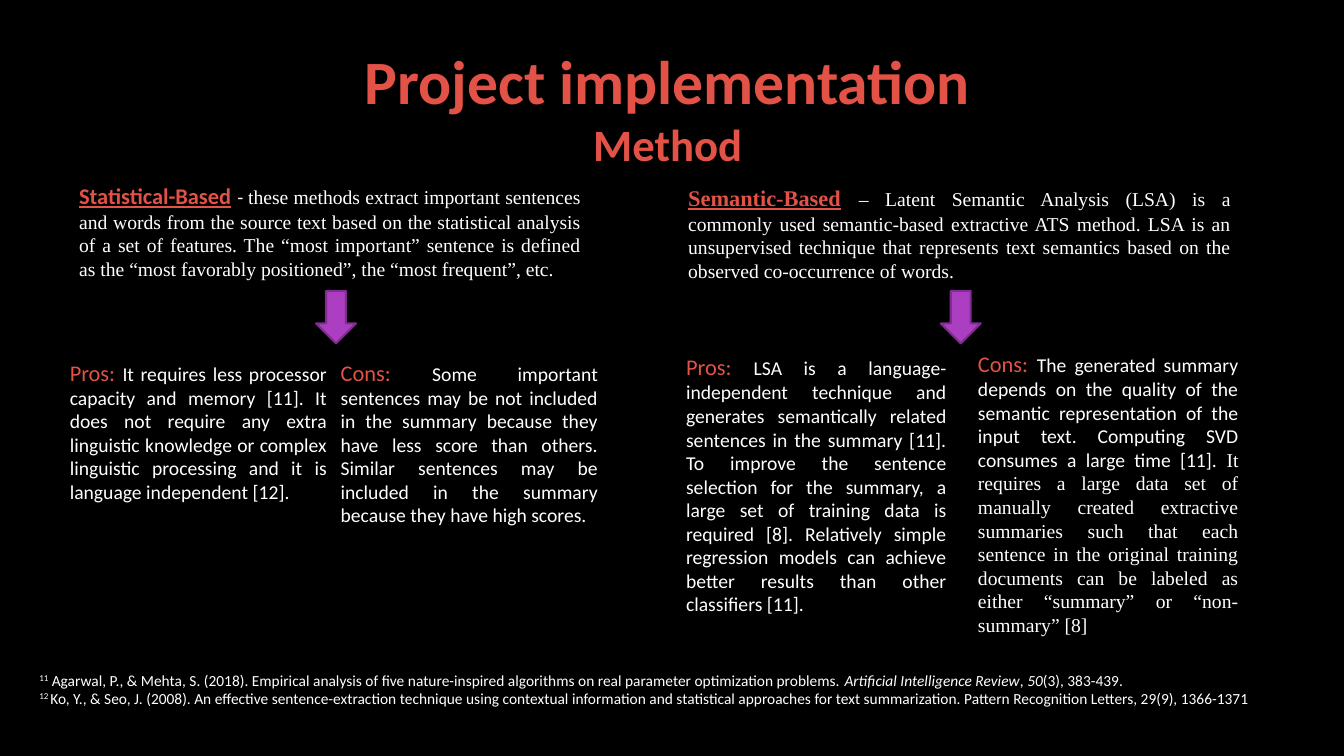
from pptx import Presentation
from pptx.dml.color import RGBColor
from pptx.enum.shapes import MSO_SHAPE
from pptx.enum.text import MSO_ANCHOR, MSO_AUTO_SIZE, PP_ALIGN
from pptx.util import Emu, Pt

EMU_PER_PX = 9525
COLORS = {
    "background": "000000",
    "accent": "E25247",
    "body": "FFFFFF",
    "arrow": "AC3EC1",
    "arrow_edge": "7F2E8F",
}
SERIF = "Times New Roman"


def px(*lengths):
    """Turn pixel lengths into EMU."""
    return [Emu(length * EMU_PER_PX) for length in lengths]


def color(name):
    """Look up a named colour."""
    return RGBColor.from_string(COLORS[name])


def add_text(paragraph, text, size=14, font="Calibri", fill="body", bold=False,
             italic=False, underline=False, raised=False):
    """Append one formatted run to a paragraph."""
    run = paragraph.add_run()
    run.text = text
    run.font.size = Pt(size)
    run.font.name = font
    run.font.color.rgb = color(fill)
    run.font.bold = bold
    run.font.italic = italic
    run.font.underline = underline
    if raised:
        run.font._element.set("baseline", "30000")


def add_block(slide, box, paragraphs, space_after=8):
    """Add a justified text box from lists of (text, format) pairs."""
    frame = slide.shapes.add_textbox(*px(*box)).text_frame
    frame.word_wrap = True
    frame.auto_size = MSO_AUTO_SIZE.SHAPE_TO_FIT_TEXT
    for index, pieces in enumerate(paragraphs):
        paragraph = frame.add_paragraph() if index else frame.paragraphs[0]
        paragraph.alignment = PP_ALIGN.JUSTIFY
        paragraph.space_after = Pt(space_after)
        for text, style in pieces:
            add_text(paragraph, text, **style)


def add_method(slide, box, name, font, *description):
    """Add a method name followed by its description."""
    heading = dict(size=16, font=font, fill="accent", bold=True, underline=True)
    add_block(slide, box, [[(name, heading), (" ", dict(size=18, font=font)), *description]])


def add_verdict(slide, box, label, *details):
    """Add a pros or cons column."""
    add_block(slide, box, [[(label, dict(size=16, fill="accent")), *details]])


def add_arrow(slide, left):
    """Add a down arrow between a method and its verdicts."""
    arrow = slide.shapes.add_shape(MSO_SHAPE.DOWN_ARROW, *px(left, 277, 38, 50))
    arrow.shadow.inherit = False
    arrow.fill.solid()
    arrow.fill.fore_color.rgb = color("arrow")
    arrow.line.color.rgb = color("arrow_edge")
    arrow.line.width = Pt(1.5)


def set_title(slide, heading, subheading):
    """Fill the title placeholder with a heading and a subheading."""
    title = slide.shapes.title
    title.left, title.top, title.width, title.height = px(326, 36, 620, 132)
    frame = title.text_frame
    frame.word_wrap = True
    frame.auto_size = MSO_AUTO_SIZE.NONE
    frame.vertical_anchor = MSO_ANCHOR.TOP
    lines = [(frame.paragraphs[0], heading, 44), (frame.add_paragraph(), subheading, 32)]
    for paragraph, text, size in lines:
        paragraph.alignment = PP_ALIGN.CENTER
        add_text(paragraph, text, size=size, fill="accent", bold=True)


def add_references(slide):
    """Add the numbered references at the foot."""
    plain = dict(size=11)
    italic = dict(size=11, italic=True)
    raised = dict(size=11, raised=True)
    add_block(slide, (28, 634, 1252, 45), [
        [("11", raised),
         (" Agarwal, P., & Mehta, S. (2018). Empirical analysis of five nature-inspired "
          "algorithms on real parameter optimization problems. ", plain),
         ("Artificial Intelligence Review", italic), (", ", plain),
         ("50", italic), ("(3), 383-439.", plain)],
        [("12 ", raised),
         ("Ko, Y., & Seo, J. (2008). An effective sentence-extraction technique using "
          "contextual information and statistical approaches for text summarization. "
          "Pattern Recognition Letters, 29(9), 1366-1371", plain)],
    ], space_after=0)


def main():
    """Build and save the slide."""
    deck = Presentation()
    deck.slide_width, deck.slide_height = px(1280, 720)
    slide = deck.slides.add_slide(deck.slide_layouts[5])
    slide.background.fill.solid()
    slide.background.fill.fore_color.rgb = color("background")

    set_title(slide, "Project implementation", "Method")
    add_method(slide, (66, 166, 497, 107), "Statistical-Based", "Calibri", ("- ", {}), (
        "these methods extract important sentences and words from the source text based "
        "on the statistical analysis of a set of features. The “most important” sentence "
        "is defined as the “most favorably positioned”, the “most frequent”, etc.",
        dict(font=SERIF)))
    add_method(slide, (646, 168, 536, 107), "Semantic-Based", SERIF, (
        "– Latent Semantic Analysis (LSA) is a commonly used semantic-based extractive "
        "ATS method. LSA is an unsupervised technique that represents text semantics "
        "based on the observed co-occurrence of words.", dict(font=SERIF)))
    for left in (301, 896):
        add_arrow(slide, left)

    add_verdict(slide, (57, 337, 264, 149), "Pros: ", (
        "It requires less processor capacity and memory [11]. It does not require any "
        "extra linguistic knowledge or complex linguistic processing and it is language "
        "independent [12].", {}))
    add_verdict(slide, (315, 337, 264, 171), "Cons: ", (
        "Some important sentences may be not included in the summary because they have "
        "less score than others. Similar sentences may be included in the summary because "
        "they have high scores.", {}))
    add_verdict(slide, (644, 332, 267, 262), "Pros: ", (
        "LSA is a language-independent technique and generates semantically related "
        "sentences in the summary [11]. To improve the sentence selection for the summary, "
        "a large set of training data is required [8]. Relatively simple regression models "
        "can achieve better results than other classifiers [11].", {}))
    add_verdict(slide, (922, 329, 267, 284), "Cons: ", (
        "The generated summary depends on the quality of the semantic representation of "
        "the input text. Computing SVD consumes a large time [11]. ", {}), (
        "It requires a large data set of manually created extractive summaries such that "
        "each sentence in the original training documents can be labeled as either "
        "“summary” or “non-summary” [8]", dict(font=SERIF)))
    add_references(slide)
    deck.save("out.pptx")


if __name__ == "__main__":
    main()
